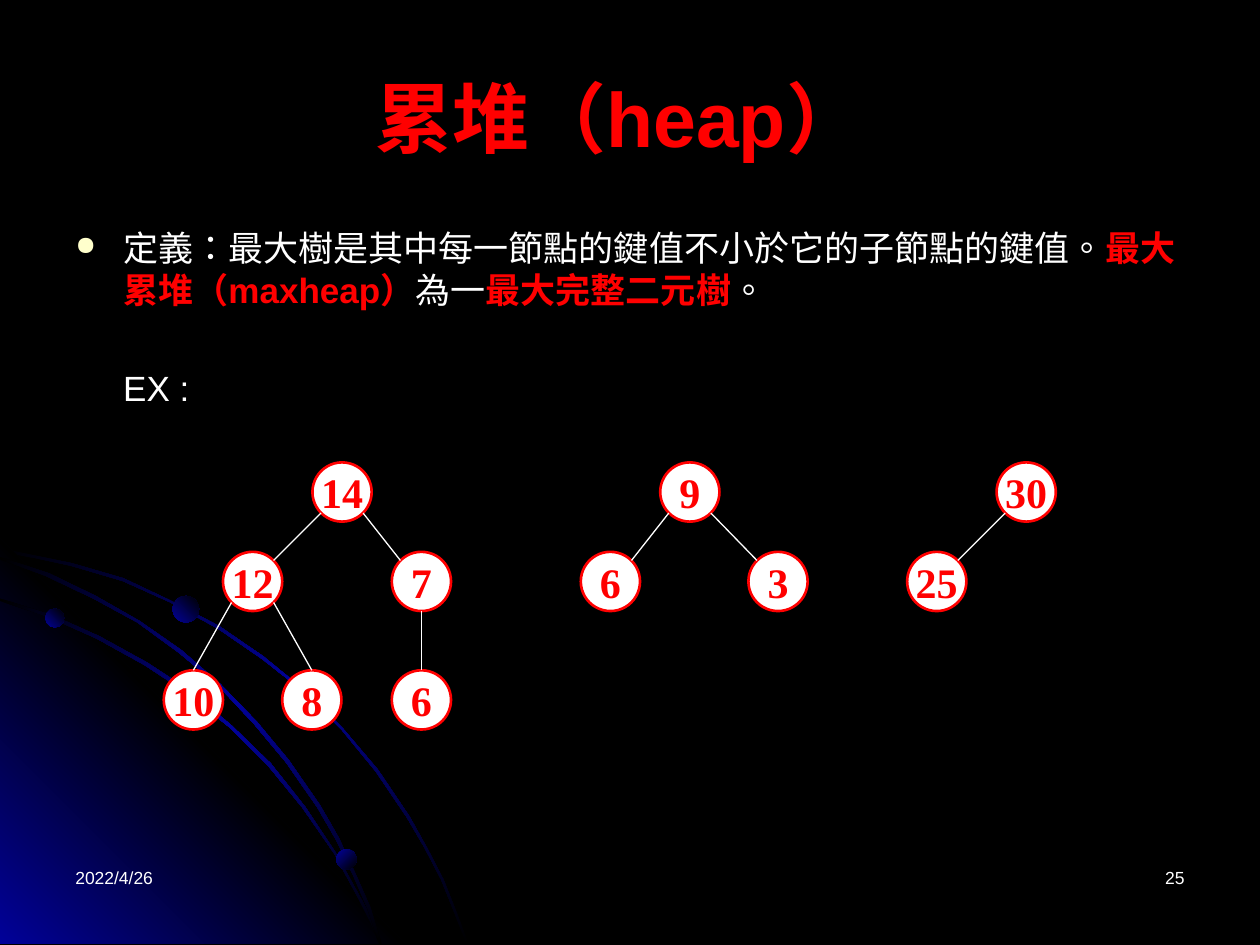
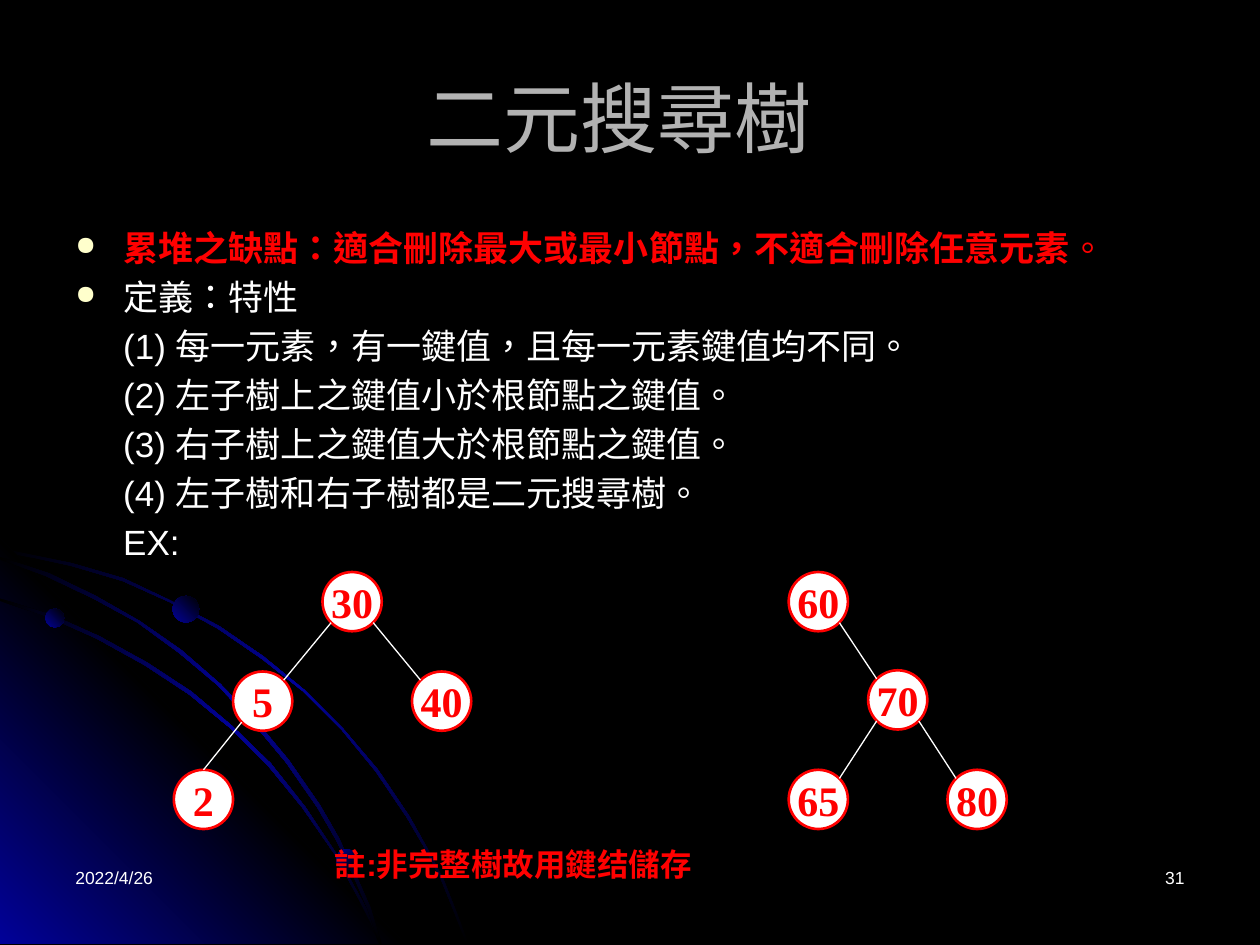
from dataclasses import dataclass

from lxml import etree
from pptx import Presentation
from pptx import util as u
from pptx.dml.color import RGBColor
from pptx.enum import shapes, text
from pptx.oxml.ns import qn

EMU_PER_PX = 9144  # 100 px to the inch
NODE_SIZE = 47


@dataclass(frozen=True)
class Theme:
    background: str = "000000"
    glow: str = "010199"
    white: str = "FFFFFF"
    red: str = "FF0000"
    grey: str = "B2B2B2"
    bullet: str = "FFFFCC"
    sans: str = "Arial"
    serif: str = "Times New Roman"
    title_size: int = 44
    body_size: int = 20
    node_size: int = 24
    note_size: int = 18
    footer_size: int = 10
    paragraph_gap: int = 4
    example_gap: int = 32


THEME = Theme()
FADE_IN_OUT = [(0, THEME.background), (50, THEME.glow), (100, THEME.background)]
CORNER_GLOW = [(0, THEME.glow), (50, THEME.background), (100, THEME.glow)]
BALL_SHADE = [(0, THEME.glow), (100, THEME.background)]

OUTER_ARC = [
    (57, 447), (28, 441), (0, 435), (0, 438), (28, 443), (56, 449), (97, 461),
    (135, 478), (173, 499), (208, 523), (241, 549), (271, 579), (298, 612),
    (323, 649), (337, 673), (350, 698), (360, 723), (370, 749), (372, 749),
    (362, 723), (352, 698), (339, 673), (325, 648), (300, 611), (272, 578),
    (242, 548), (209, 521), (174, 497), (136, 477), (98, 459),
]
CORNER = [(322, 749), (0, 749), (0, 427)]
INNER_ARC = [
    (285, 714), (294, 732), (301, 749), (303, 749), (296, 730), (286, 712),
    (266, 676), (242, 640), (215, 606), (184, 576), (152, 549), (117, 526),
    (79, 505), (41, 488), (0, 475), (0, 477), (39, 490), (77, 507), (115, 528),
    (150, 551), (183, 578), (213, 608), (240, 641), (265, 677),
]
MIDDLE_ARC = [
    (0, 442), (0, 444), (36, 457), (74, 475), (109, 494), (142, 518),
    (173, 544), (202, 575), (227, 605), (252, 641), (267, 667), (280, 694),
    (292, 722), (301, 749), (303, 749), (294, 720), (282, 693), (269, 665),
    (254, 639), (229, 603), (204, 573), (175, 543), (144, 516), (111, 493),
    (76, 473), (39, 455),
]
SWEEPS = [
    (OUTER_ARC, FADE_IN_OUT, 45),
    (CORNER, CORNER_GLOW, 315),
    (INNER_ARC, FADE_IN_OUT, 45),
    (MIDDLE_ARC, FADE_IN_OUT, 45),
]
BALLS = [(36, 483, 15, 315), (267, 674, 16, 45), (137, 473, 21, 315)]

# Each tree: nodes as (label, left, top), then edges as (parent, child) indexes.
HEAP_TREES = [
    ([("14", 248, 367), ("12", 177, 438), ("7", 311, 438),
      ("10", 130, 532), ("8", 224, 532), ("6", 311, 532)],
     [(0, 1), (0, 2), (1, 3), (1, 4), (2, 5)]),
    ([("9", 524, 367), ("6", 461, 438), ("3", 594, 438)], [(0, 1), (0, 2)]),
    ([("30", 791, 367), ("25", 720, 438)], [(0, 1)]),
]
SEARCH_TREES = [
    ([("30", 256, 454), ("5", 185, 533), ("40", 327, 533), ("2", 138, 611)],
     [(0, 1), (0, 2), (1, 3)]),
    ([("60", 626, 454), ("70", 689, 532), ("80", 752, 611), ("65", 626, 611)],
     [(0, 1), (1, 2), (1, 3)]),
]


def px(length):
    return u.Emu(round(length * EMU_PER_PX))


def plain(words):
    return words, THEME.white, False


def strong(words):
    return words, THEME.red, True


def style_run(run, size, color, bold=False, font=THEME.sans):
    run.font.name = font
    run.font.size = u.Pt(size)
    run.font.bold = bold
    run.font.color.rgb = RGBColor.from_string(color)
    properties = run._r.get_or_add_rPr()
    properties.set("lang", "zh-TW")
    latin = properties.find(qn("a:latin"))
    east_asian = etree.Element(qn("a:ea"), typeface=font)
    latin.addnext(east_asian)


def set_gradient(shape, stops, angle):
    """Fill a shape with a linear gradient; the angle turns clockwise."""
    shape.fill.background()
    empty_fill = shape._element.spPr.find(qn("a:noFill"))
    gradient = etree.Element(qn("a:gradFill"), rotWithShape="1")
    stop_list = etree.SubElement(gradient, qn("a:gsLst"))
    for percent, color in stops:
        stop = etree.SubElement(stop_list, qn("a:gs"), pos=str(percent * 1000))
        etree.SubElement(stop, qn("a:srgbClr"), val=color)
    etree.SubElement(gradient, qn("a:lin"), ang=str(angle * 60000), scaled="1")
    empty_fill.getparent().replace(empty_fill, gradient)
    shape.line.fill.background()
    shape.shadow.inherit = False


def add_backdrop(slide):
    slide.background.fill.solid()
    slide.background.fill.fore_color.rgb = RGBColor.from_string(THEME.background)
    for points, stops, angle in SWEEPS:
        builder = slide.shapes.build_freeform(*points[0], scale=EMU_PER_PX)
        builder.add_line_segments(points[1:], close=True)
        set_gradient(builder.convert_to_shape(), stops, angle)
    for left, top, size, angle in BALLS:
        ball = slide.shapes.add_shape(
            shapes.MSO_SHAPE.OVAL, px(left), px(top), px(size), px(size))
        set_gradient(ball, BALL_SHADE, angle)


def add_text_frame(slide, left, top, width, height):
    box = slide.shapes.add_textbox(px(left), px(top), px(width), px(height))
    box.text_frame.word_wrap = True
    return box.text_frame


def add_label(slide, box, words, size, color, bold=False,
              align=text.PP_ALIGN.LEFT, anchor=text.MSO_ANCHOR.TOP):
    frame = add_text_frame(slide, *box)
    frame.vertical_anchor = anchor
    frame.text = words
    paragraph = frame.paragraphs[0]
    paragraph.alignment = align
    style_run(paragraph.runs[0], size, color, bold)


def indent_paragraph(paragraph, bulleted):
    properties = paragraph._p.get_or_add_pPr()
    properties.set("marL", str(px(38)))
    properties.set("indent", str(px(-38 if bulleted else 0)))
    if bulleted:
        color = etree.SubElement(properties, qn("a:buClr"))
        etree.SubElement(color, qn("a:srgbClr"), val=THEME.bullet)
        etree.SubElement(properties, qn("a:buSzPct"), val="75000")
        etree.SubElement(properties, qn("a:buChar"), char="●")
    else:
        etree.SubElement(properties, qn("a:buNone"))


def add_body(slide, height, paragraphs):
    """Each paragraph is (bulleted, space before, runs)."""
    frame = add_text_frame(slide, 50, 175, 900, height)
    for index, (bulleted, gap, runs) in enumerate(paragraphs):
        paragraph = frame.add_paragraph() if index else frame.paragraphs[0]
        indent_paragraph(paragraph, bulleted)
        if index:
            paragraph.space_before = u.Pt(gap)
        for words, color, bold in runs:
            run = paragraph.add_run()
            run.text = words
            style_run(run, THEME.body_size, color, bold)


def add_node(slide, label, left, top):
    node = slide.shapes.add_shape(
        shapes.MSO_SHAPE.FLOWCHART_CONNECTOR,
        px(left), px(top), px(NODE_SIZE), px(NODE_SIZE))
    node.shadow.inherit = False
    node.fill.solid()
    node.fill.fore_color.rgb = RGBColor.from_string(THEME.white)
    node.line.color.rgb = RGBColor.from_string(THEME.red)
    node.line.width = u.Pt(1.5)
    frame = node.text_frame
    frame.word_wrap = False
    frame.vertical_anchor = text.MSO_ANCHOR.MIDDLE
    frame.text = label
    paragraph = frame.paragraphs[0]
    paragraph.alignment = text.PP_ALIGN.CENTER
    style_run(paragraph.runs[0], THEME.node_size, THEME.red, True, THEME.serif)


def rim_point(node, across, down):
    """Point on a node's rim; across and down are -1, 0 or 1."""
    _, left, top = node
    radius = NODE_SIZE / 2
    reach = radius * (0.71 if across else 1)
    return px(left + radius + across * reach), px(top + radius + down * reach)


def add_edge(slide, parent, child):
    offset = child[1] - parent[1]
    side = (offset > 0) - (offset < 0)
    child_side = 0 if abs(offset) <= NODE_SIZE else -side
    edge = slide.shapes.add_connector(
        shapes.MSO_CONNECTOR.STRAIGHT,
        *rim_point(parent, side, 1), *rim_point(child, child_side, -1))
    edge.line.color.rgb = RGBColor.from_string(THEME.white)
    edge.line.width = u.Pt(0.75)
    etree.SubElement(edge._element.spPr, qn("a:effectLst"))


def add_tree(slide, nodes, edges):
    for node in nodes:
        add_node(slide, *node)
    for parent, child in edges:
        add_edge(slide, nodes[parent], nodes[child])


def add_slide(presentation, title, title_color, title_bold, number):
    slide = presentation.slides.add_slide(presentation.slide_layouts[6])
    add_backdrop(slide)
    add_label(slide, (50, 683, 233, 50), "2022/4/26", THEME.footer_size, THEME.white)
    add_label(slide, (717, 683, 233, 50), number, THEME.footer_size, THEME.white,
              align=text.PP_ALIGN.RIGHT)
    add_label(slide, (50, 30, 900, 125), title, THEME.title_size, title_color,
              title_bold, text.PP_ALIGN.CENTER, text.MSO_ANCHOR.MIDDLE)
    return slide


def add_heap_slide(presentation):
    slide = add_slide(presentation, "累堆（heap） ", THEME.red, True, "25")
    add_body(slide, 176, [
        (True, 0, [
            plain("定義：最大樹是其中每一節點的鍵值不小於它的子節點的鍵值。"),
            strong("最大累堆（maxheap）"),
            plain("為一"),
            strong("最大完整二元樹"),
            plain("。"),
        ]),
        (False, THEME.example_gap, [plain("EX :")]),
    ])
    for nodes, edges in HEAP_TREES:
        add_tree(slide, nodes, edges)


def add_search_tree_slide(presentation):
    slide = add_slide(presentation, "二元搜尋樹 ", THEME.grey, False, "31")
    properties = [
        "(1) 每一元素，有一鍵值，且每一元素鍵值均不同。",
        "(2) 左子樹上之鍵值小於根節點之鍵值。",
        "(3) 右子樹上之鍵值大於根節點之鍵值。",
        "(4) 左子樹和右子樹都是二元搜尋樹。",
        "EX:",
    ]
    gap = THEME.paragraph_gap
    add_body(slide, 294, [
        (True, 0, [
            strong("累堆之缺點：適合刪除最大或最小節點，不適合刪除任意元素"),
            ("。", THEME.red, False),
        ]),
        (True, gap, [plain("定義：特性")]),
        *[(False, gap, [plain(words)]) for words in properties],
    ])
    for nodes, edges in SEARCH_TREES:
        add_tree(slide, nodes, edges)
    add_label(slide, (256, 666, 306, 40), "註:非完整樹故用鍵结儲存",
              THEME.note_size, THEME.red, True)


def main():
    presentation = Presentation()
    presentation.slide_width = px(1000)
    presentation.slide_height = px(750)
    add_heap_slide(presentation)
    add_search_tree_slide(presentation)
    presentation.save("out.pptx")


if __name__ == "__main__":
    main()
